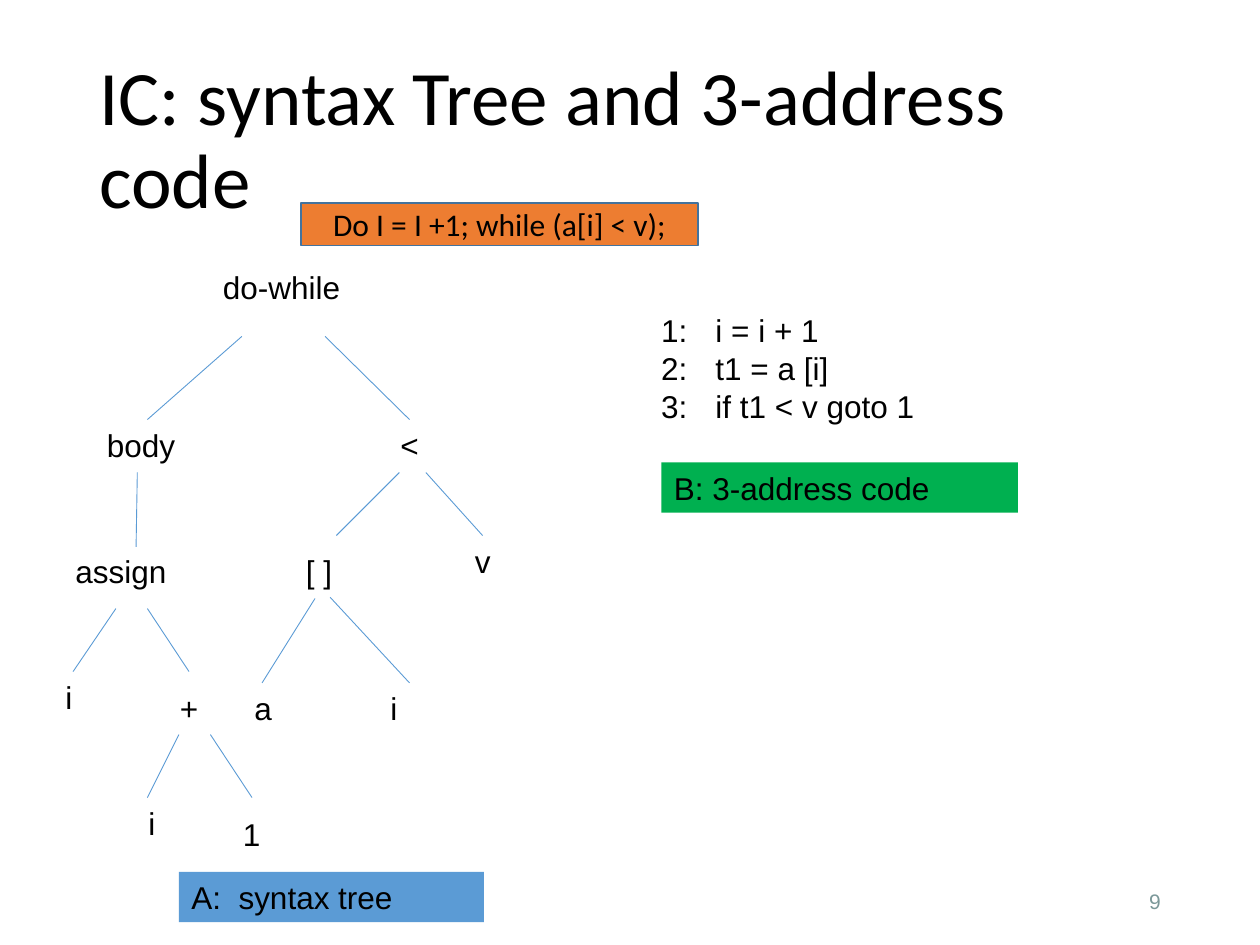
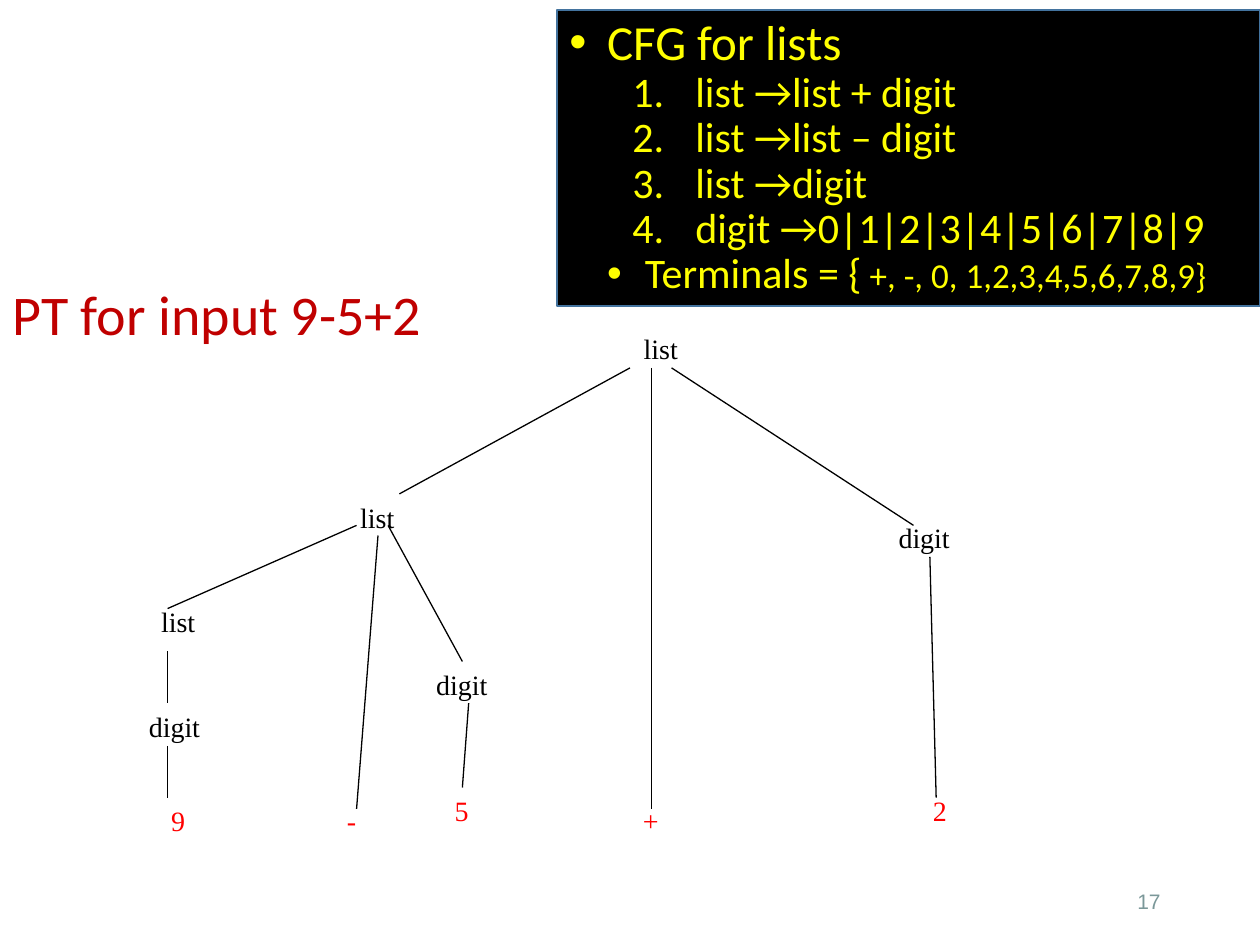
"""Build two compiler slides: a syntax tree with 3-address code, and a parse tree."""
from typing import NamedTuple, Optional

from lxml import etree
from pptx import Presentation
from pptx.dml.color import RGBColor
from pptx.enum import shapes, text
from pptx.oxml import ns
from pptx.util import Inches, Pt

BLACK = RGBColor(0x00, 0x00, 0x00)
RED = RGBColor(0xFF, 0x00, 0x00)
DARK_RED = RGBColor(0xC0, 0x00, 0x00)
YELLOW = RGBColor(0xFF, 0xFF, 0x00)
BLUE = RGBColor(0x5B, 0x9B, 0xD5)
OUTLINE = RGBColor(0x43, 0x73, 0x9E)
ORANGE = RGBColor(0xED, 0x7D, 0x31)
GREEN = RGBColor(0x00, 0xB0, 0x50)
GREY = RGBColor(0x7B, 0x98, 0x99)

CENTER = text.PP_ALIGN.CENTER
MIDDLE = text.MSO_ANCHOR.MIDDLE
LABEL_HEIGHT = 0.4


class Box(NamedTuple):
    """Position and size in inches."""
    left: float
    top: float
    width: float
    height: float = LABEL_HEIGHT


class Node(NamedTuple):
    """A tree label and its box."""
    label: str
    box: Box
    color: RGBColor = BLACK


class Edge(NamedTuple):
    """A tree branch from parent to child."""
    x1: float
    y1: float
    x2: float
    y2: float


class Rule(NamedTuple):
    """A grammar line with its hanging indent and bullet."""
    label: str
    size: int
    margin: float
    hang: float
    numbered: bool = False
    detail: str = ""


SYNTAX_NODES = [
    Node("do-while", Box(1.67, 2.08, 1.42)),
    Node("<", Box(3.08, 3.33, 0.58)),
    Node("body", Box(0.75, 3.33, 1.33)),
    Node("assign", Box(0.5, 4.33, 1.42)),
    Node("[ ]", Box(2.33, 4.33, 0.58)),
    Node("v", Box(3.67, 4.25, 0.58)),
    Node("i", Box(0.42, 5.33, 0.58)),
    Node("+", Box(1.33, 5.42, 0.58)),
    Node("a", Box(1.92, 5.42, 0.58)),
    Node("i", Box(3, 5.42, 0.58)),
    Node("i", Box(1.08, 6.33, 0.25)),
    Node("1", Box(1.83, 6.42, 0.58)),
]
SYNTAX_EDGES = [
    Edge(1.92, 2.67, 1.17, 3.33), Edge(2.58, 2.67, 3.25, 3.33),
    Edge(1.09, 3.75, 1.08, 4.34),
    Edge(3.17, 3.75, 2.67, 4.25), Edge(3.38, 3.75, 3.83, 4.25),
    Edge(0.92, 4.83, 0.58, 5.33), Edge(1.17, 4.83, 1.5, 5.33),
    Edge(2.5, 4.75, 2.08, 5.42), Edge(2.62, 4.74, 3.25, 5.42),
    Edge(1.42, 5.83, 1.17, 6.33), Edge(1.67, 5.83, 2, 6.33),
]
PARSE_NODES = [
    Node("list", Box(3.83, 2.58, 2.83)),
    Node("list", Box(1.58, 3.92, 2.83)),
    Node("digit", Box(5.92, 4.08, 2.83)),
    Node("list", Box(0, 4.75, 2.83)),
    Node("digit", Box(3, 5.25, 1.33)),
    Node("digit", Box(0, 5.58, 2.77)),
    Node("9", Box(0, 6.33, 2.83), RED),
    Node("-", Box(2, 6.33, 1.58), RED),
    Node("5", Box(2.58, 6.25, 2.17), RED),
    Node("+", Box(3.75, 6.33, 2.83), RED),
    Node("2", Box(6.17, 6.25, 2.58), RED),
]
PARSE_EDGES = [
    Edge(5, 2.92, 3.17, 3.92), Edge(5.17, 2.92, 5.17, 6.42),
    Edge(5.33, 2.92, 7.25, 4.17),
    Edge(2.83, 4.17, 1.33, 4.83), Edge(3, 4.25, 2.83, 6.42),
    Edge(3.08, 4.17, 3.67, 5.25),
    Edge(1.33, 5.17, 1.33, 5.58), Edge(1.33, 5.92, 1.33, 6.33),
    Edge(3.72, 5.58, 3.67, 6.25), Edge(7.38, 4.42, 7.43, 6.33),
]
PRODUCTIONS = ["list →list + digit", "list →list – digit", "list →digit",
               "digit →0|1|2|3|4|5|6|7|8|9"]
GRAMMAR = [
    Rule("CFG for lists", 28, 0.3, 0.3),
    *[Rule(production, 24, 1, 0.5, True) for production in PRODUCTIONS],
    Rule("Terminals = {", 24, 0.6, 0.3, detail=" +, -, 0, 1,2,3,4,5,6,7,8,9}"),
]


def add_run(paragraph, content: str, *, font: str, size: float, color: RGBColor) -> None:
    """Append a formatted run."""
    run = paragraph.add_run()
    run.text = content
    run.font.name = font
    run.font.size = Pt(size)
    run.font.color.rgb = color


def write_text(frame, content: str, *, font: str = "Arial", size: float = 18,
               color: RGBColor = BLACK, align=text.PP_ALIGN.LEFT,
               anchor=text.MSO_ANCHOR.TOP, spacing: float = 1.0) -> None:
    """Fill a text frame with one paragraph per line of content."""
    frame.word_wrap = True
    frame.vertical_anchor = anchor
    for index, line in enumerate(content.split("\n")):
        paragraph = frame.add_paragraph() if index else frame.paragraphs[0]
        paragraph.alignment = align
        paragraph.line_spacing = spacing
        add_run(paragraph, line, font=font, size=size, color=color)


def add_text(slide, content: str, box: Box, **style) -> None:
    """Add a text box."""
    shape = slide.shapes.add_textbox(*map(Inches, box))
    write_text(shape.text_frame, content, **style)


def add_panel(slide, box: Box, fill: RGBColor, outline: Optional[RGBColor] = None):
    """Add a filled rectangle and return its text frame."""
    shape = slide.shapes.add_shape(shapes.MSO_SHAPE.RECTANGLE, *map(Inches, box))
    shape.shadow.inherit = False
    shape.fill.solid()
    shape.fill.fore_color.rgb = fill
    if outline is None:
        shape.line.fill.background()
    else:
        shape.line.color.rgb = outline
        shape.line.width = Pt(1)
    return shape.text_frame


def add_tree(slide, nodes: list[Node], edges: list[Edge], line_color: RGBColor,
             line_width: float, **style) -> None:
    """Draw the branches and labels of a tree."""
    for edge in edges:
        branch = slide.shapes.add_connector(shapes.MSO_CONNECTOR.STRAIGHT, *map(Inches, edge))
        branch.line.color.rgb = line_color
        branch.line.width = Pt(line_width)
        etree.SubElement(branch._element.spPr, ns.qn("a:effectLst"))
    for node in nodes:
        add_text(slide, node.label, node.box, color=node.color, **style)


def add_grammar(frame, rules: list[Rule]) -> None:
    """Write the grammar as bulleted and numbered paragraphs."""
    frame.word_wrap = True
    frame.vertical_anchor = MIDDLE
    for index, rule in enumerate(rules):
        paragraph = frame.add_paragraph() if index else frame.paragraphs[0]
        paragraph.alignment = text.PP_ALIGN.LEFT
        paragraph.level = 1 if index else 0
        paragraph.line_spacing = 0.9
        properties = paragraph._p.get_or_add_pPr()
        properties.set("marL", str(Inches(rule.margin)))
        properties.set("indent", str(-Inches(rule.hang)))
        if rule.numbered:
            etree.SubElement(properties, ns.qn("a:buFont"), typeface="+mj-lt")
            etree.SubElement(properties, ns.qn("a:buAutoNum"), type="arabicPeriod")
        else:
            etree.SubElement(properties, ns.qn("a:buFont"), typeface="Arial")
            etree.SubElement(properties, ns.qn("a:buChar"), char="•")
        add_run(paragraph, rule.label, font="Calibri", size=rule.size, color=YELLOW)
        if rule.detail:
            add_run(paragraph, rule.detail, font="Calibri", size=20, color=YELLOW)


def add_slide(presentation, title: str, title_box: Box, number: int, *,
              size: float, color: RGBColor):
    """Add a blank slide with the shared title and page number."""
    slide = presentation.slides.add_slide(presentation.slide_layouts[6])
    add_text(slide, title, title_box, font="Calibri", size=size, color=color,
             anchor=MIDDLE, spacing=0.9)
    add_text(slide, str(number), Box(7.06, 6.95, 2.25), size=12, color=GREY,
             align=text.PP_ALIGN.RIGHT, anchor=MIDDLE)
    return slide


def build_syntax_slide(presentation) -> None:
    """Build the syntax tree and 3-address code slide."""
    slide = add_slide(presentation, "IC: syntax Tree and 3-address code",
                      Box(0.69, 0.4, 8.62, 1.45), 9, size=44, color=BLACK)
    add_tree(slide, SYNTAX_NODES, SYNTAX_EDGES, BLUE, 0.5)
    add_text(slide, " 1:\ti = i + 1\n 2:\tt1 = a [i]\n 3:\tif t1 < v goto 1",
             Box(5.08, 2.42, 3.42, 1.01))
    write_text(add_panel(slide, Box(1.42, 6.92, 2.42), BLUE), "A:  syntax tree")
    write_text(add_panel(slide, Box(5.25, 3.67, 2.83), GREEN), "B: 3-address code")
    write_text(add_panel(slide, Box(2.39, 1.61, 3.15, 0.34), ORANGE, OUTLINE),
               "Do I = I +1; while (a[i] < v);", font="Calibri", align=CENTER, anchor=MIDDLE)


def build_parse_slide(presentation) -> None:
    """Build the grammar and parse tree slide."""
    slide = add_slide(presentation, "PT for input 9-5+2", Box(0, 1.79, 5.47, 1.45), 17,
                      size=32, color=DARK_RED)
    add_tree(slide, PARSE_NODES, PARSE_EDGES, BLACK, 0.75,
             font="Times New Roman", size=16, align=CENTER)
    add_grammar(add_panel(slide, Box(4.42, 0.08, 5.58, 2.35), BLACK, OUTLINE), GRAMMAR)


def main() -> None:
    """Build and save the presentation."""
    presentation = Presentation()
    presentation.slide_width = Inches(10)
    presentation.slide_height = Inches(7.5)
    build_syntax_slide(presentation)
    build_parse_slide(presentation)
    presentation.save("out.pptx")


if __name__ == "__main__":
    main()
